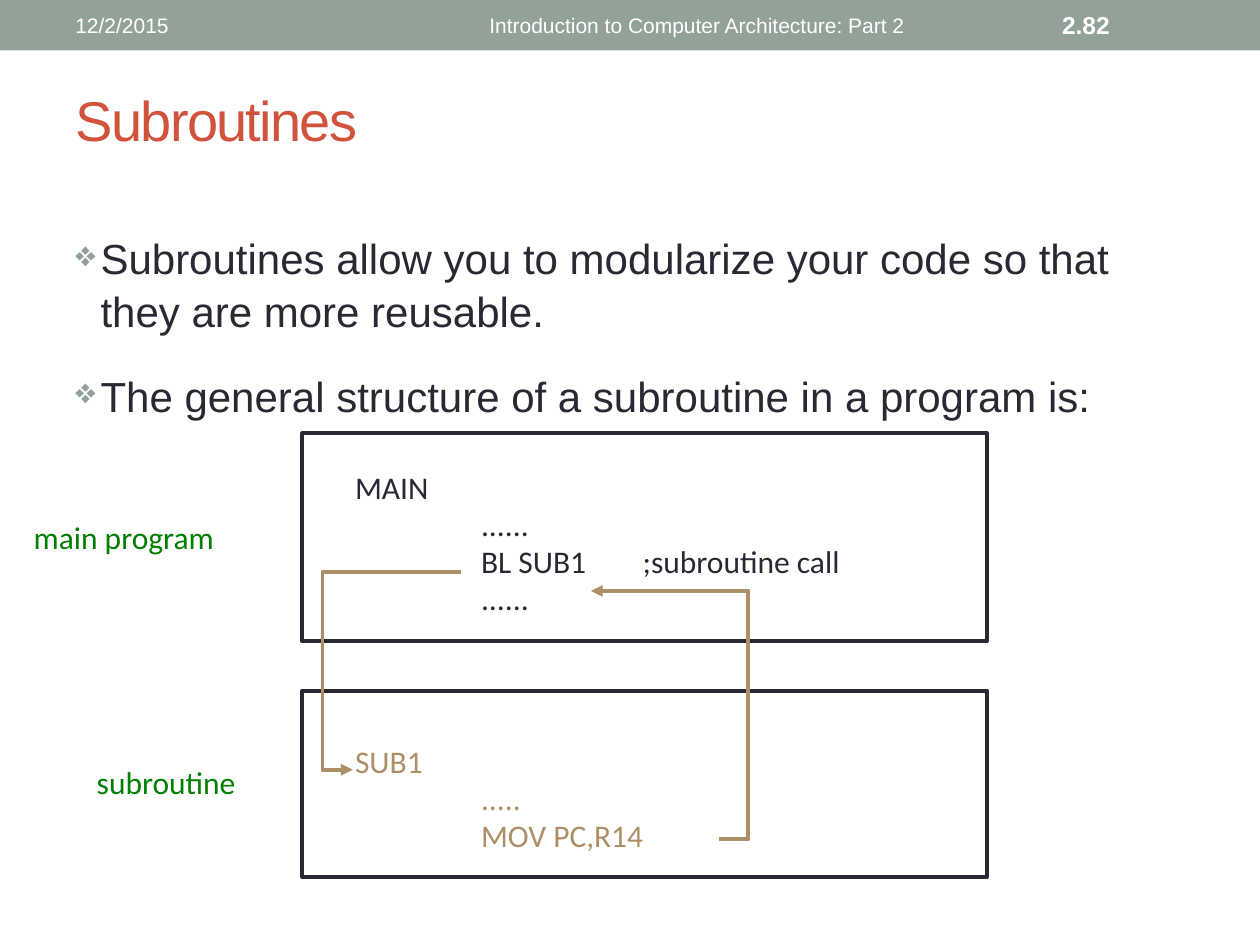
"""Build the Subroutines slide: two points and a call-and-return diagram."""
from lxml import etree
from pptx import Presentation
from pptx import util as u
from pptx.dml.color import RGBColor
from pptx.enum import shapes, text
from pptx.oxml.ns import qn

Pt = u.Pt
THEME = dict(
    ink="292934", title="D2533C", band="93A299", accent="AD8F67", label="008000", white="FFFFFF",
    heading_font="Arial", code_font="Calibri",
    title_size=32, body_size=24, code_size=18, header_size=12, number_size=14, line=2.25,
)
TITLE = "Subroutines"
POINTS = [
    "Subroutines allow you to modularize your code so that they are more reusable.",
    "The general structure of a subroutine in a program is:",
]
MAIN_CODE = ["MAIN", "\t......", "\tBL SUB1\t;subroutine call", "\t......"]
SUB_CODE = ["SUB1", "\t.....", "\tMOV PC,R14"]
HEADER = [
    ("12/2/2015", 36, 148.3, "header_size", False, text.PP_ALIGN.LEFT),
    ("2.82", 599.8, 84.2, "number_size", True, text.PP_ALIGN.LEFT),
    ("Introduction to Computer Architecture: Part 2", 200.2, 324, "header_size", False,
     text.PP_ALIGN.RIGHT),
]
CODE_FRAMES = [(172.8, 247.7, 391, 118.8), (172.8, 394.6, 391, 106.6)]
FLOWS = [
    [(263.5, 326.9), (184.3, 326.9), (184.3, 439.9), (201.6, 439.9)],
    [(411.1, 479.5), (427.7, 479.5), (427.7, 337.7), (337.7, 337.7)],
]
LABELS = [("main program", 12.2, 292.3, 155.5), ("subroutine", 48.2, 432.7, 123.1)]
CODE_TAB_STOPS = [72, 164.4]
SUB_CODE_GAP = 72


def color(key):
    return RGBColor.from_string(THEME[key])


def style(paragraph, font, size, ink, bold=False):
    for run in paragraph.runs:
        run.font.name = THEME[font]
        run.font.size = Pt(THEME[size])
        run.font.color.rgb = color(ink)
        run.font.bold = bold


def add_text(slide, box, lines):
    frame = slide.shapes.add_textbox(*map(Pt, box)).text_frame
    frame.word_wrap = True
    frame.text = "\n".join(lines)
    return frame


def outline(shape, ink):
    shape.shadow.inherit = False
    shape.fill.background()
    shape.line.color.rgb = color(ink)
    shape.line.width = Pt(THEME["line"])


def add_bullet(paragraph):
    props = paragraph._p.get_or_add_pPr()
    props.set("marL", str(Pt(14.4)))
    props.set("indent", str(-Pt(14.4)))
    tint = etree.SubElement(props, qn("a:buClr"))
    etree.SubElement(tint, qn("a:srgbClr"), val=THEME["band"])
    etree.SubElement(props, qn("a:buSzPct"), val="85000")
    etree.SubElement(props, qn("a:buChar"), char="❖")


def add_tab_stops(paragraph):
    stops = etree.SubElement(paragraph._p.get_or_add_pPr(), qn("a:tabLst"))
    for position in CODE_TAB_STOPS:
        etree.SubElement(stops, qn("a:tab"), pos=str(Pt(position)), algn="l")


def add_header(slide):
    band = slide.shapes.add_shape(shapes.MSO_SHAPE.RECTANGLE, 0, 0, Pt(720), Pt(28.8))
    band.shadow.inherit = False
    band.fill.solid()
    band.fill.fore_color.rgb = color("band")
    band.line.fill.background()
    for words, left, width, size, bold, align in HEADER:
        frame = add_text(slide, (left, 1.4, width, 25.9), [words])
        frame.vertical_anchor = text.MSO_ANCHOR.MIDDLE
        frame.paragraphs[0].alignment = align
        style(frame.paragraphs[0], "heading_font", size, "white", bold)


def add_title(slide):
    title = slide.shapes.title
    title.left, title.top, title.width, title.height = map(Pt, (36, 41.8, 648, 52.6))
    frame = title.text_frame
    frame.text = TITLE
    frame.vertical_anchor = text.MSO_ANCHOR.MIDDLE
    heading = frame.paragraphs[0]
    heading.alignment = text.PP_ALIGN.LEFT
    style(heading, "heading_font", "title_size", "title")
    heading.runs[0].font._element.set("spc", "-100")


def add_points(slide):
    frame = add_text(slide, (36, 111.6, 648, 380.2), POINTS)
    frame.margin_top = Pt(20)
    for index, point in enumerate(frame.paragraphs):
        add_bullet(point)
        point.line_spacing = 1.05
        point.space_before = Pt(18 if index else 0)
        style(point, "heading_font", "body_size", "ink")


def add_code(slide):
    frame = add_text(slide, (195.8, 265, 459.4, 232.6), MAIN_CODE + SUB_CODE)
    for index, line in enumerate(frame.paragraphs):
        add_tab_stops(line)
        line.line_spacing = 0.98
        if index == len(MAIN_CODE):
            line.space_before = Pt(SUB_CODE_GAP)
        style(line, "code_font", "code_size", "ink" if index < len(MAIN_CODE) else "accent")


def add_diagram(slide):
    for box in CODE_FRAMES:
        outline(slide.shapes.add_shape(shapes.MSO_SHAPE.RECTANGLE, *map(Pt, box)), "ink")
    for start, *bends in FLOWS:
        builder = slide.shapes.build_freeform(*map(Pt, start))
        builder.add_line_segments([(Pt(x), Pt(y)) for x, y in bends], close=False)
        flow = builder.convert_to_shape()
        outline(flow, "accent")
        etree.SubElement(flow.line._get_or_add_ln(), qn("a:tailEnd"), type="triangle")
    for words, left, top, width in LABELS:
        frame = add_text(slide, (left, top, width, 36), [words])
        style(frame.paragraphs[0], "code_font", "code_size", "label")


def main():
    deck = Presentation()
    deck.slide_width, deck.slide_height = Pt(720), Pt(540)
    slide = deck.slides.add_slide(deck.slide_layouts[5])
    for add_part in (add_header, add_title, add_points, add_code, add_diagram):
        add_part(slide)
    deck.save("out.pptx")


if __name__ == "__main__":
    main()
